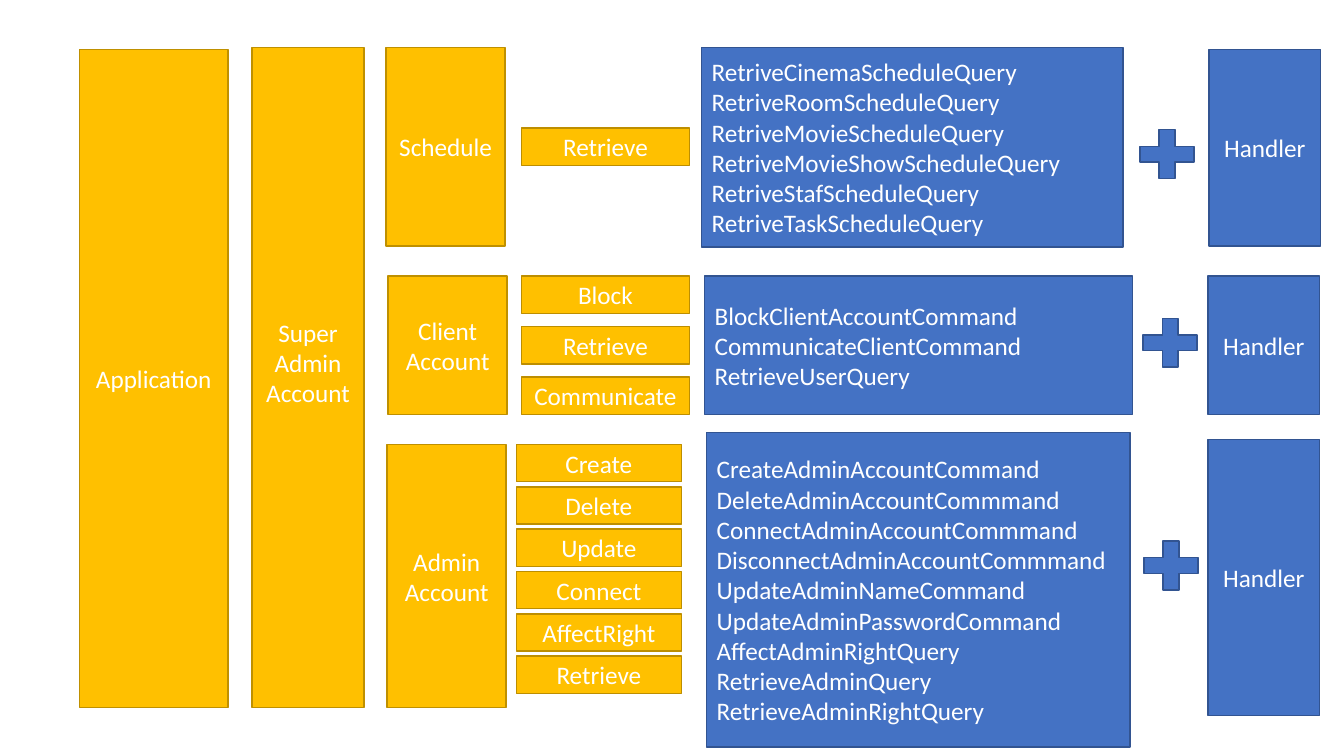
from typing import NamedTuple

from pptx import Presentation
from pptx.dml.color import RGBColor
from pptx.enum.shapes import MSO_SHAPE
from pptx.enum.text import MSO_ANCHOR, PP_ALIGN
from pptx.util import Inches, Pt

COLORS = {
    "gold": "FFC000", "gold_edge": "BF9000", "action_edge": "BD8E00",
    "blue": "4472C4", "blue_edge": "325491", "white": "FFFFFF",
}
FONT = {"name": "Calibri", "size": Pt(18)}
FRAME = {"word_wrap": True, "vertical_anchor": MSO_ANCHOR.MIDDLE}


class Box(NamedTuple):
    """A rectangle in inches."""
    left: float
    top: float
    width: float
    height: float

    def inside(self, left, top, width, height):
        """Return a box whose corner is offset from this one."""
        return Box(self.left + left, self.top + top, width, height)


class Area(NamedTuple):
    """One functional area, with part boxes relative to its row."""
    row: Box
    name: str
    name_box: tuple
    actions: list
    action_box: tuple
    action_pitch: float
    messages: list
    message_box: tuple
    plus_corner: tuple
    handler_box: tuple


AREAS = [
    Area(Box(3.83, 0.47, 9.27, 1.98), "Schedule", (0, 0, 1.18, 1.97),
         ["Retrieve"], (1.34, 0.8, 1.67, 0.37), 0,
         ["RetriveCinemaScheduleQuery", "RetriveRoomScheduleQuery",
          "RetriveMovieScheduleQuery", "RetriveMovieShowScheduleQuery",
          "RetriveStafScheduleQuery", "RetriveTaskScheduleQuery"],
         (3.13, 0, 4.18, 1.98), (7.38, 0.73), (8.16, 0.02, 1.11, 1.95)),
    Area(Box(3.85, 2.74, 9.24, 1.37), "Client Account", (0, 0, 1.18, 1.37),
         ["Block", "Retrieve", "Communicate"], (1.32, 0, 1.67, 0.37), 0.5,
         ["BlockClientAccountCommand", "CommunicateClientCommand",
          "RetrieveUserQuery"],
         (3.14, 0, 4.24, 1.37), (7.39, 0.33), (8.13, 0, 1.11, 1.37)),
    Area(Box(3.84, 4.29, 9.25, 3.12), "Admin Account", (0, 0.12, 1.18, 2.61),
         ["Create", "Delete", "Update", "Connect", "AffectRight", "Retrieve"],
         (1.28, 0.12, 1.64, 0.37), 0.42,
         ["CreateAdminAccountCommand", "DeleteAdminAccountCommmand",
          "ConnectAdminAccountCommmand", "DisconnectAdminAccountCommmand",
          "UpdateAdminNameCommand", "UpdateAdminPasswordCommand",
          "AffectAdminRightQuery", "RetrieveAdminQuery",
          "RetrieveAdminRightQuery"],
         (3.17, 0, 4.2, 3.12), (7.41, 0.99), (8.14, 0.07, 1.11, 2.74)),
]


def set_all(target, values):
    """Set every named attribute on the target."""
    for name, value in values.items():
        setattr(target, name, value)


def color(name):
    """Return the named colour."""
    return RGBColor.from_string(COLORS[name])


def add_block(page, box, fill, edge, lines=(), align=PP_ALIGN.CENTER,
              kind=MSO_SHAPE.RECTANGLE):
    """Add a filled shape with one paragraph per line."""
    shape = page.shapes.add_shape(kind, *map(Inches, box))
    shape.shadow.inherit = False
    shape.fill.solid()
    shape.fill.fore_color.rgb = color(fill)
    shape.line.color.rgb = color(edge)
    shape.line.width = Pt(1)
    frame = shape.text_frame
    set_all(frame, FRAME)
    for index, line in enumerate(lines):
        para = frame.add_paragraph() if index else frame.paragraphs[0]
        para.alignment = align
        span = para.add_run()
        span.text = line
        set_all(span.font, FONT)
        span.font.color.rgb = color("white")
    return shape


def add_scope(page, box):
    """Add the application and super admin columns."""
    add_block(page, box.inside(0, 0.02, 1.47, 6.53), "gold", "gold_edge",
              ["Application"])
    account = add_block(page, box.inside(1.71, 0, 1.11, 6.55), "gold",
                        "gold_edge", ["Super", "Admin Account"])
    account.text_frame.margin_bottom = Inches(0.35)


def add_area(page, area):
    """Add an area with its actions, messages, plus sign and handler."""
    row = area.row
    add_block(page, row.inside(*area.name_box), "gold", "gold_edge",
              [area.name])
    left, top, width, height = area.action_box
    for index, action in enumerate(area.actions):
        box = row.inside(left, top + index * area.action_pitch, width, height)
        add_block(page, box, "gold", "action_edge", [action])
    add_block(page, row.inside(*area.message_box), "blue", "blue_edge",
              area.messages, PP_ALIGN.LEFT)
    add_block(page, row.inside(*area.plus_corner, 0.73, 0.66), "blue",
              "blue_edge", kind=MSO_SHAPE.MATH_PLUS)
    add_block(page, row.inside(*area.handler_box), "blue", "blue_edge",
              ["Handler"])


def main():
    """Build and save the deck."""
    deck = Presentation()
    set_all(deck, {"slide_width": Inches(13.33), "slide_height": Inches(7.5)})
    page = deck.slides.add_slide(deck.slide_layouts[6])
    add_scope(page, Box(0.79, 0.47, 2.82, 6.55))
    for area in AREAS:
        add_area(page, area)
    deck.save("out.pptx")


if __name__ == "__main__":
    main()
